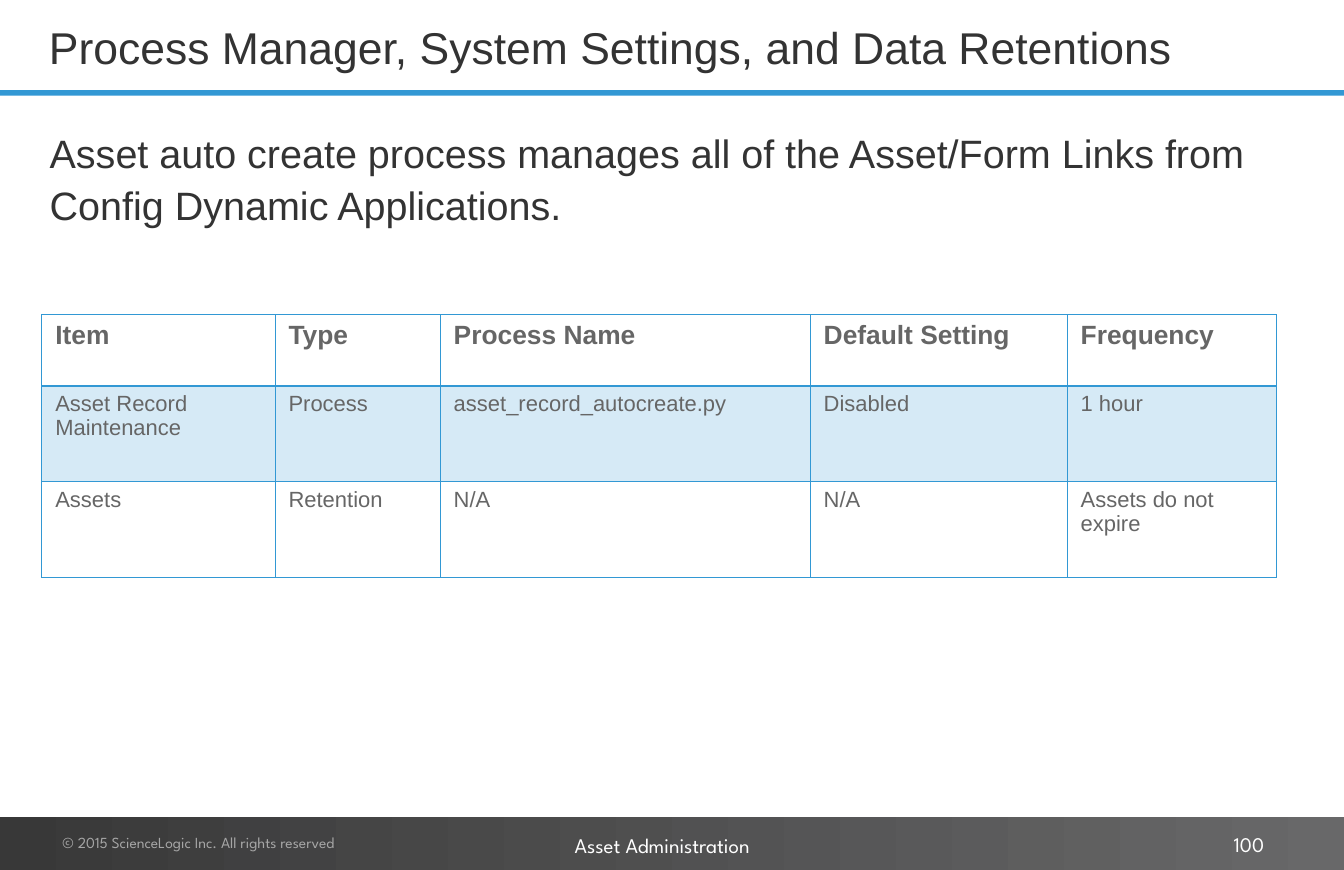
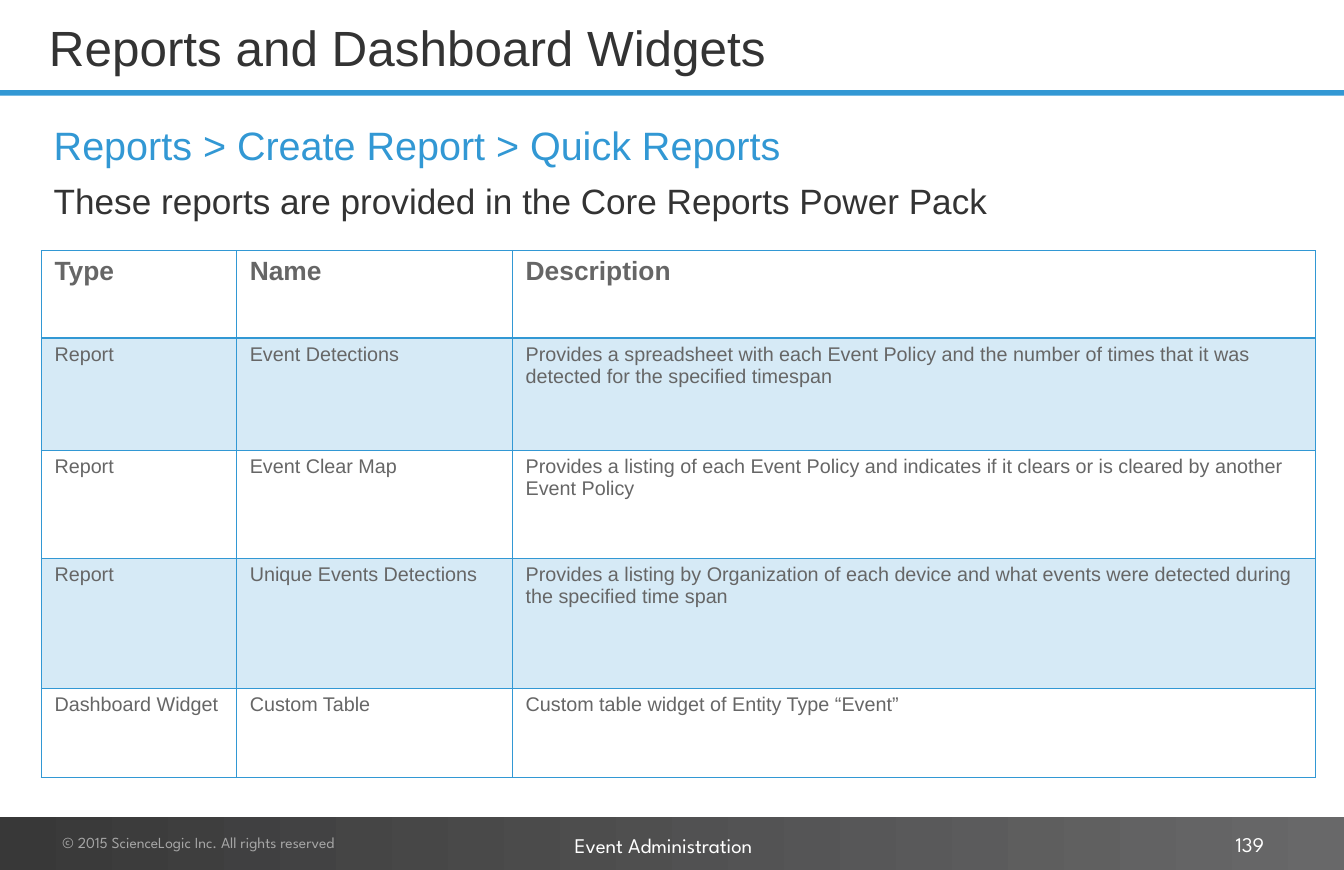
from dataclasses import dataclass
from typing import NamedTuple

from lxml.etree import SubElement
from pptx import Presentation
from pptx.dml.color import RGBColor
from pptx.enum.shapes import MSO_SHAPE
from pptx.enum.text import MSO_ANCHOR, PP_ALIGN
from pptx.oxml.ns import qn
from pptx.shapes.autoshape import Shape
from pptx.slide import Slide
from pptx.table import _Cell
from pptx.text.text import TextFrame
from pptx.util import Emu, Pt

SCALE = 9144  # EMU in one px, with 100 px to the inch


def px(length: int) -> Emu:
    return Emu(length * SCALE)


@dataclass(frozen=True)
class Theme:
    blue: str = "3298D4"
    ink: str = "333333"
    cell_ink: str = "666666"
    copyright_ink: str = "A6A6A6"
    white: str = "FFFFFF"
    footer_dark: str = "383838"
    footer_light: str = "686869"
    body_font: str = "Arial"
    footer_font: str = "League Spartan"
    lead_size: float = 36
    sublead_size: float = 32
    header_size: float = 24
    footer_size: float = 19
    copyright_size: float = 14
    line_spacing: float = 1.1
    band_opacity: int = 20


THEME = Theme()


class Area(NamedTuple):
    left: int
    top: int
    width: int
    height: int

    def lengths(self) -> list[Emu]:
        return [px(length) for length in self]


class Inset(NamedTuple):
    side: int
    end: int


PLAIN_INSET = Inset(10, 5)
WIDE_INSET = Inset(16, 8)
CELL_INSET = Inset(17, 7)


@dataclass(frozen=True)
class Para:
    text: str
    size: float
    color: str = THEME.ink
    space_before: float = 0


@dataclass(frozen=True)
class Grid:
    left: int
    top: int
    columns: list[int]
    row_heights: list[int]
    text_size: float
    rows: list[list[str]]


@dataclass(frozen=True)
class Page:
    title: str
    title_size: float
    section: str
    number: int
    lead_area: Area
    lead_inset: Inset
    lead: list[Para]
    grid: Grid


PAGES = [
    Page(
        title="Process Manager, System Settings, and Data Retentions",
        title_size=40.5,
        section="Asset Administration",
        number=100,
        lead_area=Area(53, 152, 1563, 248),
        lead_inset=PLAIN_INSET,
        lead=[
            Para("Asset auto create process manages all of the Asset/Form Links "
                 "from Config Dynamic Applications.", THEME.lead_size),
        ],
        grid=Grid(
            left=53, top=398, text_size=20,
            columns=[295, 209, 468, 325, 265],
            row_heights=[90, 121, 121],
            rows=[
                ["Item", "Type", "Process Name", "Default Setting", "Frequency"],
                ["Asset Record Maintenance", "Process",
                 "asset_record_autocreate.py", "Disabled", "1 hour"],
                ["Assets", "Retention", "N/A", "N/A", "Assets do not expire"],
            ],
        ),
    ),
    Page(
        title="Reports and Dashboard Widgets",
        title_size=45,
        section="Event Administration",
        number=139,
        lead_area=Area(52, 139, 1563, 135),
        lead_inset=WIDE_INSET,
        lead=[
            Para("Reports > Create Report > Quick Reports",
                 THEME.lead_size, THEME.blue),
            Para("These reports are provided in the Core Reports Power Pack",
                 THEME.sublead_size, space_before=6.4),
        ],
        grid=Grid(
            left=52, top=317, text_size=18,
            columns=[247, 349, 1016],
            row_heights=[110, 142, 137, 164, 113],
            rows=[
                ["Type", "Name", "Description"],
                ["Report", "Event Detections",
                 "Provides a spreadsheet with each Event Policy and the number "
                 "of times that it was detected for the specified timespan"],
                ["Report", "Event Clear Map",
                 "Provides a listing of each Event Policy and indicates if it "
                 "clears or is cleared by another Event Policy"],
                ["Report", "Unique Events Detections",
                 "Provides a listing by Organization of each device and what "
                 "events were detected during the specified time span"],
                ["Dashboard Widget", "Custom Table",
                 "Custom table widget of Entity Type “Event”"],
            ],
        ),
    ),
]


def set_insets(target: TextFrame | _Cell, inset: Inset) -> None:
    target.margin_left = target.margin_right = px(inset.side)
    target.margin_top = target.margin_bottom = px(inset.end)


def write(frame: TextFrame, text: str, *, size: float, color: str,
          font: str = THEME.body_font, bold: bool = False,
          align: PP_ALIGN = PP_ALIGN.LEFT, line_spacing: float = 1.0,
          space_before: float = 0) -> None:
    """Fill the empty first paragraph, or add one below the others."""
    first = frame.paragraphs[0]
    para = frame.add_paragraph() if first.runs else first
    para.alignment = align
    para.line_spacing = line_spacing
    para.space_before = Pt(space_before)
    span = para.add_run()
    span.text = text
    span.font.name = font
    span.font.size = Pt(size)
    span.font.bold = bold
    span.font.color.rgb = RGBColor.from_string(color)


def add_box(slide: Slide, area: Area, inset: Inset = WIDE_INSET,
            anchor: MSO_ANCHOR = MSO_ANCHOR.TOP) -> TextFrame:
    frame = slide.shapes.add_textbox(*area.lengths()).text_frame
    frame.word_wrap = True
    frame.vertical_anchor = anchor
    set_insets(frame, inset)
    return frame


def add_band(slide: Slide, area: Area) -> Shape:
    band = slide.shapes.add_shape(MSO_SHAPE.RECTANGLE, *area.lengths())
    band.shadow.inherit = False
    band.line.fill.background()
    return band


def draw_frame(slide: Slide, page: Page) -> None:
    # Rule under the title and footer band
    rule = add_band(slide, Area(0, 114, 1700, 7))
    rule.fill.solid()
    rule.fill.fore_color.rgb = RGBColor.from_string(THEME.blue)
    footer = add_band(slide, Area(0, 1033, 1700, 67))
    footer.fill.gradient()
    footer.fill.gradient_angle = 0
    shades = (THEME.footer_dark, THEME.footer_light)
    for position, (stop, shade) in enumerate(zip(footer.fill.gradient_stops, shades)):
        stop.position = position
        stop.color.rgb = RGBColor.from_string(shade)

    # Title
    title = add_box(slide, Area(52, 1, 1485, 117), PLAIN_INSET, MSO_ANCHOR.MIDDLE)
    write(title, page.title, size=page.title_size, color=THEME.ink)

    # Footer texts
    write(add_box(slide, Area(63, 1046, 500, 40)),
          "© 2015 ScienceLogic Inc. All rights reserved",
          size=THEME.copyright_size, color=THEME.copyright_ink,
          font=THEME.footer_font)
    write(add_box(slide, Area(711, 1045, 276, 48)), page.section,
          size=THEME.footer_size, color=THEME.white, font=THEME.footer_font)
    write(add_box(slide, Area(1218, 1046, 397, 43), anchor=MSO_ANCHOR.MIDDLE),
          str(page.number), size=THEME.footer_size, color=THEME.white,
          font=THEME.footer_font, align=PP_ALIGN.RIGHT)


def add_borders(cell: _Cell, **widths: float) -> None:
    properties = cell._tc.get_or_add_tcPr()
    for side, width in widths.items():
        line = SubElement(properties, qn(f"a:ln{side}"), w=str(Pt(width)))
        fill = SubElement(line, qn("a:solidFill"))
        SubElement(fill, qn("a:srgbClr"), val=THEME.blue)


def fill_cell(cell: _Cell, banded: bool) -> None:
    if not banded:
        cell.fill.background()
        return
    cell.fill.solid()
    cell.fill.fore_color.rgb = RGBColor.from_string(THEME.blue)
    color = cell._tc.tcPr.find(qn("a:solidFill")).find(qn("a:srgbClr"))
    SubElement(color, qn("a:alpha"), val=str(THEME.band_opacity * 1000))


def draw_grid(slide: Slide, grid: Grid) -> None:
    area = Area(grid.left, grid.top, sum(grid.columns), sum(grid.row_heights))
    table = slide.shapes.add_table(
        len(grid.rows), len(grid.columns), *area.lengths()).table
    table.horz_banding = False
    table.first_row = False
    for column, width in zip(table.columns, grid.columns):
        column.width = px(width)
    for row, height in zip(table.rows, grid.row_heights):
        row.height = px(height)

    for row_index, texts in enumerate(grid.rows):
        header = row_index == 0
        for column_index, text in enumerate(texts):
            cell = table.cell(row_index, column_index)
            set_insets(cell, CELL_INSET)
            # The line below the header is twice as heavy
            add_borders(cell, L=1, R=1, T=2 if row_index == 1 else 1,
                        B=2 if header else 1)
            fill_cell(cell, banded=row_index % 2 == 1)
            write(cell.text_frame, text, color=THEME.cell_ink, bold=header,
                  size=THEME.header_size if header else grid.text_size)


def draw_page(slide: Slide, page: Page) -> None:
    draw_frame(slide, page)
    lead = add_box(slide, page.lead_area, page.lead_inset)
    for para in page.lead:
        write(lead, para.text, size=para.size, color=para.color,
              line_spacing=THEME.line_spacing, space_before=para.space_before)
    draw_grid(slide, page.grid)


def main() -> None:
    deck = Presentation()
    deck.slide_width, deck.slide_height = px(1700), px(1100)
    blank = deck.slide_layouts[6]
    for page in PAGES:
        draw_page(deck.slides.add_slide(blank), page)
    deck.save("out.pptx")


if __name__ == "__main__":
    main()
